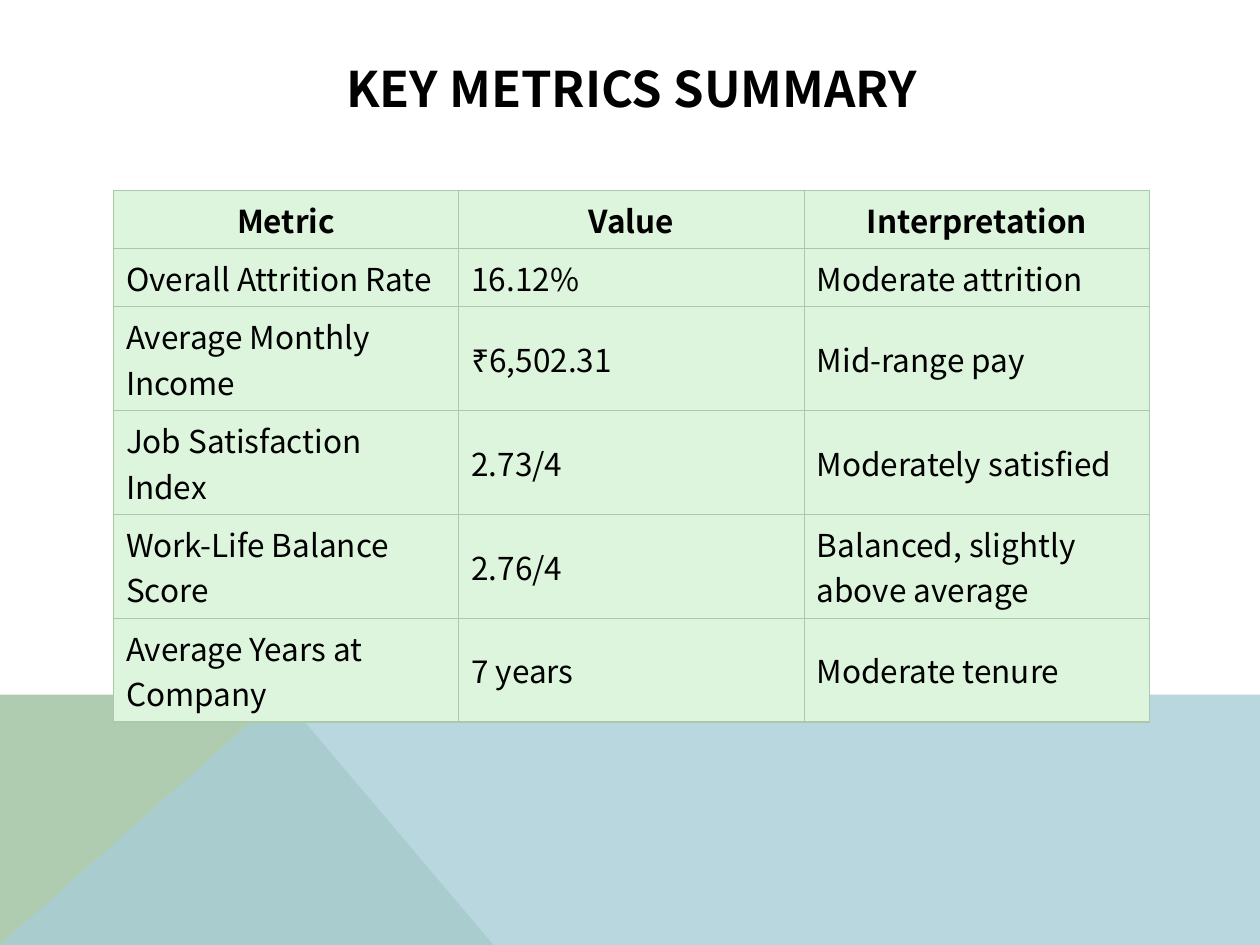
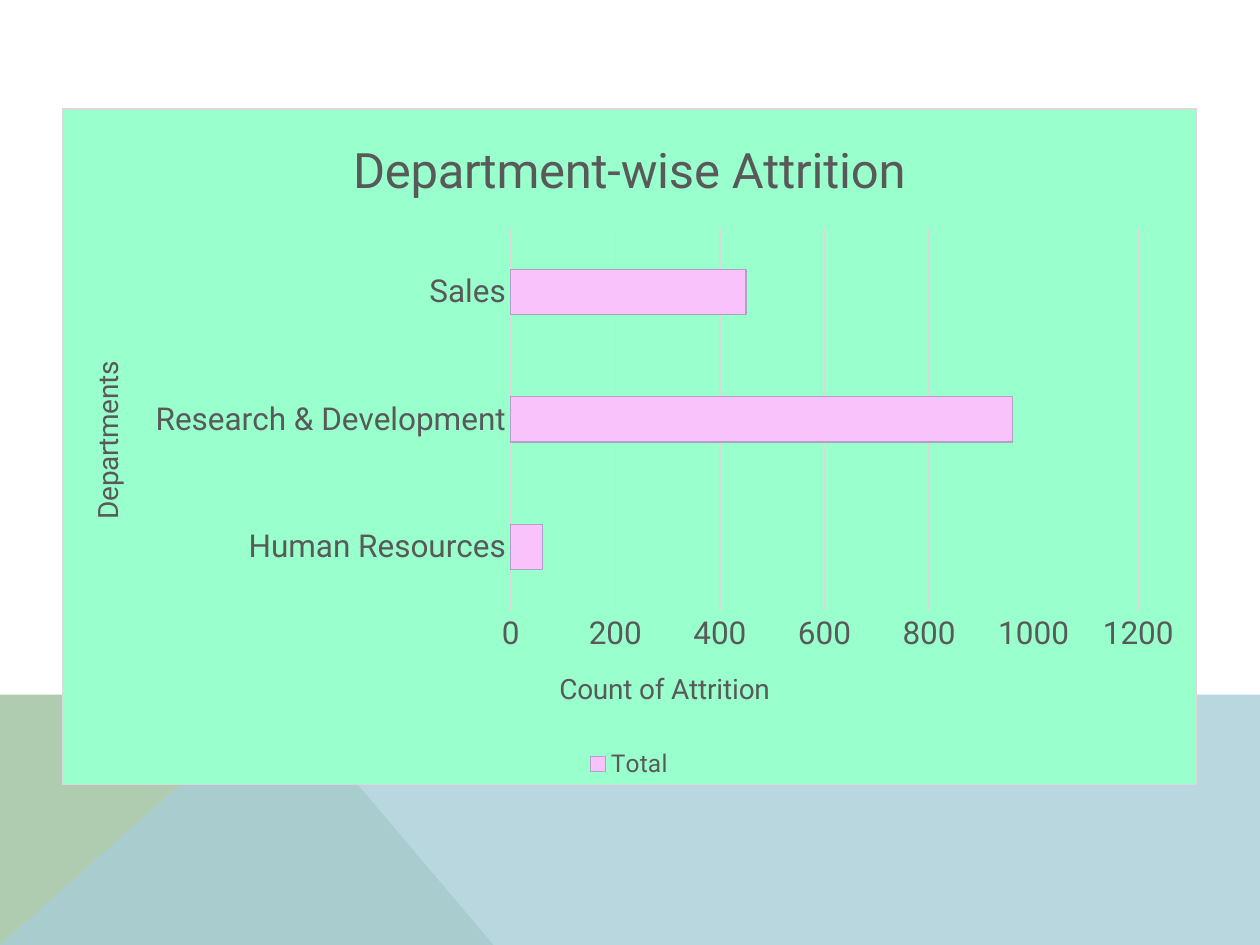
from lxml import etree
from pptx import Presentation
from pptx.chart.data import CategoryChartData
from pptx.dml.color import RGBColor
from pptx.enum.chart import XL_CHART_TYPE, XL_LEGEND_POSITION, XL_TICK_MARK
from pptx.enum.text import MSO_ANCHOR, PP_ALIGN
from pptx.oxml import parse_xml
from pptx.oxml.ns import nsdecls, qn
from pptx.util import Pt

BAR_CLUSTERED = XL_CHART_TYPE.BAR_CLUSTERED
LEGEND_BOTTOM = XL_LEGEND_POSITION.BOTTOM
NO_TICK = XL_TICK_MARK.NONE
MIDDLE = MSO_ANCHOR.MIDDLE
CENTER = PP_ALIGN.CENTER
LEFT = PP_ALIGN.LEFT

WIDTH, HEIGHT = 720, 540
TITLE_ONLY, BLANK = 5, 6
TEXT_FONT, CHART_FONT = "Noto Sans CJK KR", "Roboto"
BLACK, GRAY, LIGHT_GRAY = "000000", "595959", "D9D9D9"
BAND_GREEN, BAND_BLUE = "B0CCB0", "A8CDD7"
CELL_GREEN, CELL_BORDER = "DDF4DD", "ABC8AB"
MINT, PINK, PURPLE = "99FFCC", "F9C2FA", "B1A0C7"
HAIRLINE = 0.75

BAND_TOP, BAND_PEAK, BAND_FOOT = 397.4, 160.6, 281.5

METRICS = [
    ("Metric", "Value", "Interpretation"),
    ("Overall Attrition Rate", "16.12%", "Moderate attrition"),
    ("Average Monthly Income", "₹6,502.31", "Mid-range pay"),
    ("Job Satisfaction Index", "2.73/4", "Moderately satisfied"),
    ("Work-Life Balance Score", "2.76/4", "Balanced, slightly above average"),
    ("Average Years at Company", "7 years", "Moderate tenure"),
]
ROW_HEIGHTS = [28.8, 28.8, 50.4, 28.8, 50.4, 50.4]
ATTRITION = {"Human Resources": 60, "Research & Development": 960, "Sales": 450}


def rgb(color):
    return RGBColor.from_string(color)


def paint(fill, color):
    fill.solid()
    fill.fore_color.rgb = rgb(color)


def stroke(line, color):
    paint(line.fill, color)
    line.width = Pt(HAIRLINE)


def style_font(font, name, size, color, bold=False):
    font.name = name
    font.size = Pt(size)
    font.bold = bold
    font.color.rgb = rgb(color)


class Deck:
    """Holds the presentation, its shared style and the current slide."""

    def __init__(self):
        self.presentation = Presentation()
        self.presentation.slide_width = Pt(WIDTH)
        self.presentation.slide_height = Pt(HEIGHT)
        self.slide = None

    def add_slide(self, layout):
        layouts = self.presentation.slide_layouts
        self.slide = self.presentation.slides.add_slide(layouts[layout])
        self.polygon([(0, HEIGHT), (0, BAND_TOP), (BAND_PEAK, BAND_TOP),
                      (BAND_FOOT, HEIGHT)], BAND_GREEN)
        self.polygon([(0, HEIGHT), (BAND_PEAK, BAND_TOP), (WIDTH, BAND_TOP),
                      (WIDTH, HEIGHT)], BAND_BLUE, opacity=80)

    def polygon(self, points, color, opacity=100):
        builder = self.slide.shapes.build_freeform(*points[0], scale=Pt(1))
        builder.add_line_segments(points[1:], close=True)
        shape = builder.convert_to_shape()
        shape.shadow.inherit = False
        paint(shape.fill, color)
        shape.line.fill.background()
        if opacity < 100:
            color_element = shape.element.spPr.find(f".//{qn('a:srgbClr')}")
            alpha = etree.SubElement(color_element, qn("a:alpha"))
            alpha.set("val", str(opacity * 1000))

    def add_text(self, text_frame, text, size, align=LEFT, bold=False):
        paragraph = text_frame.paragraphs[0]
        paragraph.alignment = align
        run = paragraph.add_run()
        run.text = text
        style_font(run.font, TEXT_FONT, size, BLACK, bold)

    def title(self, text, left, top, width, height):
        shape = self.slide.shapes.title
        shape.left, shape.top = Pt(left), Pt(top)
        shape.width, shape.height = Pt(width), Pt(height)
        shape.text_frame.vertical_anchor = MIDDLE
        self.add_text(shape.text_frame, text, 28, CENTER, bold=True)

    def table(self, rows, row_heights, left, top, width):
        frame = self.slide.shapes.add_table(
            len(rows), len(rows[0]), Pt(left), Pt(top), Pt(width), Pt(sum(row_heights)))
        table = frame.table
        table.horz_banding = False
        for row, height in zip(table.rows, row_heights):
            row.height = Pt(height)
        for row_index, texts in enumerate(rows):
            header = row_index == 0
            for column_index, text in enumerate(texts):
                cell = table.cell(row_index, column_index)
                cell.vertical_anchor = MIDDLE
                self.add_text(cell.text_frame, text, 18, CENTER if header else LEFT, header)
                self.cell_borders(cell)
                paint(cell.fill, CELL_GREEN)

    def cell_borders(self, cell):
        properties = cell._tc.get_or_add_tcPr()
        for side in ("lnL", "lnR", "lnT", "lnB"):
            line = etree.SubElement(properties, qn(f"a:{side}"), w=str(Pt(HAIRLINE)))
            fill = etree.SubElement(line, qn("a:solidFill"))
            etree.SubElement(fill, qn("a:srgbClr"), val=CELL_BORDER)

    def bar_chart(self, title, series_name, values, axis_titles, left, top, width, height):
        data = CategoryChartData()
        data.categories = list(values)
        data.add_series(series_name, list(values.values()))
        chart = self.slide.shapes.add_chart(
            BAR_CLUSTERED, Pt(left), Pt(top), Pt(width), Pt(height), data).chart
        style_font(chart.font, CHART_FONT, 10, BLACK)
        self.chart_background(chart)

        chart.has_title = True
        self.chart_title(chart.chart_title, title, 28)
        chart.chart_title.include_in_layout = False

        chart.has_legend = True
        chart.legend.position = LEGEND_BOTTOM
        chart.legend.include_in_layout = False
        style_font(chart.legend.font, CHART_FONT, 14, GRAY)

        plot = chart.plots[0]
        plot.gap_width = 182
        plot.vary_by_categories = False
        bars = plot.series[0]
        paint(bars.format.fill, PINK)
        stroke(bars.format.line, PURPLE)

        category_axis, value_axis = chart.category_axis, chart.value_axis
        for axis, axis_title in zip((category_axis, value_axis), axis_titles):
            axis.major_tick_mark = axis.minor_tick_mark = NO_TICK
            style_font(axis.tick_labels.font, CHART_FONT, 18, GRAY)
            self.chart_title(axis.axis_title, axis_title, 16)
        body = category_axis.axis_title.text_frame._txBody.find(qn("a:bodyPr"))
        body.set("rot", "-5400000")
        body.set("vert", "horz")
        stroke(category_axis.format.line, LIGHT_GRAY)
        value_axis.format.line.fill.background()
        value_axis.minimum_scale, value_axis.maximum_scale = 0, 1200
        value_axis.major_unit = 200
        stroke(value_axis.major_gridlines.format.line, LIGHT_GRAY)

    def chart_title(self, title, text, size):
        run = title.text_frame.paragraphs[0].add_run()
        run.text = text
        style_font(run.font, CHART_FONT, size, GRAY)

    def chart_background(self, chart):
        """Fill and outline the chart area and keep the plot area clear."""
        chart_element = chart.element.find(qn("c:chart"))
        chart_element.addnext(parse_xml(
            f'<c:spPr {nsdecls("c", "a")}>'
            f'<a:solidFill><a:srgbClr val="{MINT}"/></a:solidFill>'
            f'<a:ln w="{Pt(HAIRLINE)}"><a:solidFill><a:srgbClr val="{LIGHT_GRAY}"/>'
            '</a:solidFill></a:ln></c:spPr>'))
        chart_element.find(qn("c:plotArea")).append(parse_xml(
            f'<c:spPr {nsdecls("c", "a")}><a:noFill/></c:spPr>'))


def main():
    deck = Deck()

    deck.add_slide(TITLE_ONLY)
    deck.title("KEY METRICS SUMMARY", 64.8, 28.8, 592, 43.2)
    deck.table(METRICS, ROW_HEIGHTS, 64.8, 108.7, 592.2)

    deck.add_slide(BLANK)
    deck.bar_chart("Department-wise Attrition", "Total", ATTRITION,
                   ("Departments", "Count of Attrition"), 35.3, 61.9, 648.7, 386.6)

    deck.presentation.save("out.pptx")


if __name__ == "__main__":
    main()
